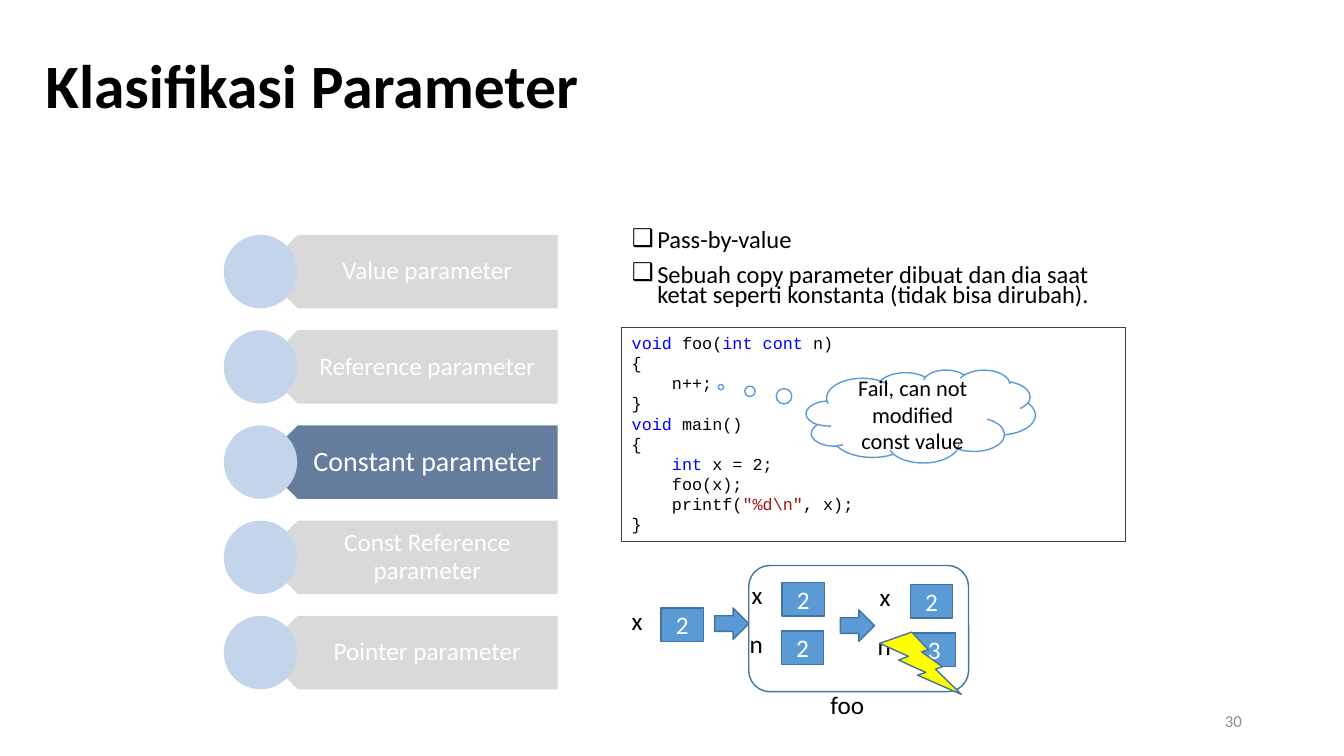
from lxml import etree
from pptx import Presentation
from pptx.dml.color import RGBColor
from pptx.enum.shapes import MSO_SHAPE
from pptx.enum.text import MSO_ANCHOR, MSO_AUTO_SIZE, PP_ALIGN
from pptx.oxml.ns import qn
from pptx.util import Cm, Pt

BLACK = RGBColor(0, 0, 0)
WHITE = RGBColor(255, 255, 255)
GREY = RGBColor(0xD9, 0xD9, 0xD9)
SLATE = RGBColor(0x65, 0x7D, 0x9D)
PALE_BLUE = RGBColor(0xC4, 0xD5, 0xEB)
BLUE = RGBColor(0x5B, 0x9B, 0xD5)
DARK_BLUE = RGBColor(0x43, 0x73, 0x9E)
YELLOW = RGBColor(255, 255, 0)
KEYWORD = RGBColor(0, 0, 255)
STRING = RGBColor(0xA3, 0x15, 0x15)
CODE_BORDER = RGBColor(0x40, 0x40, 0x40)
NUMBER_GREY = RGBColor(0x8C, 0x8C, 0x8C)

LEFT, CENTER, RIGHT = PP_ALIGN.LEFT, PP_ALIGN.CENTER, PP_ALIGN.RIGHT
TOP, MIDDLE = MSO_ANCHOR.TOP, MSO_ANCHOR.MIDDLE
NO_AUTOFIT = MSO_AUTO_SIZE.NONE
RECTANGLE, ROUNDED = MSO_SHAPE.RECTANGLE, MSO_SHAPE.ROUNDED_RECTANGLE
PENTAGON, OVAL = MSO_SHAPE.PENTAGON, MSO_SHAPE.OVAL
CLOUD, ARROW = MSO_SHAPE.CLOUD_CALLOUT, MSO_SHAPE.RIGHT_ARROW
LIGHTNING = MSO_SHAPE.LIGHTNING_BOLT

TITLE = "Klasifikasi Parameter"
BULLETS = [
    "Pass-by-value",
    "Sebuah copy parameter dibuat dan dia saat ketat seperti konstanta (tidak bisa dirubah).",
]
PARAMETERS = [
    "Value parameter",
    "Reference parameter",
    "Constant parameter",
    "Const Reference parameter",
    "Pointer parameter",
]
ACTIVE = "Constant parameter"
CODE = [
    [("void", KEYWORD), (" foo(", BLACK), ("int cont", KEYWORD), (" n)", BLACK)],
    [("{", BLACK)],
    [("    n++;", BLACK)],
    [("}", BLACK)],
    [("void", KEYWORD), (" main()", BLACK)],
    [("{", BLACK)],
    [("    int", KEYWORD), (" x = 2;", BLACK)],
    [("    foo(x);", BLACK)],
    [("    printf(", BLACK), ("\"%d\\n\"", STRING), (", x);", BLACK)],
    [("}", BLACK)],
]
WARNING = "Fail, can not modified const value"
VARIABLES = [
    ("x", "2", 15.67, 16.66, 15.32),
    ("x", "2", 18.69, 19.71, 14.68),
    ("n", "2", 18.64, 19.69, 15.9),
    ("x", "2", 21.92, 22.94, 14.73),
    ("n", "3", 21.87, 23.01, 15.95),
]
ARROWS = [(18.01, 15.32), (21.18, 15.37)]
FUNCTION_NAME = "foo"
PAGE_NUMBER = "30"

BAR_TOP, BAR_HEIGHT, BAR_PITCH = 5.92, 1.85, 2.4
COLUMN_LEFT, COLUMN_WIDTH = 15.67, 12.7


def place(shape, left, top, width, height):
    shape.left, shape.top = Cm(left), Cm(top)
    shape.width, shape.height = Cm(width), Cm(height)


def style(paragraph, size, color, align=LEFT, name="Calibri"):
    paragraph.alignment = align
    paragraph.font.size = Pt(size)
    paragraph.font.name = name
    paragraph.font.color.rgb = color


def write(shape, text, size, color, align=CENTER, anchor=MIDDLE, wrap=True):
    frame = shape.text_frame
    frame.word_wrap = wrap
    frame.vertical_anchor = anchor
    frame.text = text
    style(frame.paragraphs[0], size, color, align)
    return frame


def add_box(slide, kind, box, fill=None, line=None, width=1):
    shape = slide.shapes.add_shape(kind, *map(Cm, box))
    shape.shadow.inherit = False
    if fill is None:
        shape.fill.background()
    else:
        shape.fill.solid()
        shape.fill.fore_color.rgb = fill
    if line is None:
        shape.line.fill.background()
    else:
        shape.line.color.rgb = line
        shape.line.width = Pt(width)
    return shape


def add_label(slide, text, box, size, color, **options):
    return write(slide.shapes.add_textbox(*map(Cm, box)), text, size, color, **options)


def add_bullet(paragraph):
    properties = paragraph._p.get_or_add_pPr()
    properties.set("marL", str(Cm(0.64)))
    properties.set("indent", str(-Cm(0.64)))
    etree.SubElement(properties, qn("a:buFont"), typeface="Arial")
    etree.SubElement(properties, qn("a:buChar"), char="❑")


def add_heading(slide):
    title = slide.shapes.title
    place(title, 0.89, 0.38, 27.89, 3.68)
    frame = write(title, TITLE, 44, BLACK, align=LEFT)
    frame.auto_size = NO_AUTOFIT
    frame.paragraphs[0].font.bold = True
    frame.paragraphs[0].line_spacing = 0.9


def add_bullets(slide):
    body = slide.placeholders[1]
    place(body, COLUMN_LEFT, 5.72, COLUMN_WIDTH, 2.54)
    frame = body.text_frame
    frame.text = "\n".join(BULLETS)
    frame.auto_size = NO_AUTOFIT
    for index, paragraph in enumerate(frame.paragraphs):
        paragraph.line_spacing = 0.7
        paragraph.space_before = Pt(10 if index else 0)
        add_bullet(paragraph)
        style(paragraph, 17.5, BLACK)


def add_parameter_list(slide):
    for index, name in enumerate(PARAMETERS):
        top = BAR_TOP + index * BAR_PITCH
        active = name == ACTIVE
        bar = add_box(slide, PENTAGON, (6.58, top, 7.47, BAR_HEIGHT), SLATE if active else GREY)
        bar.rotation = 180
        frame = add_label(slide, name, (7.04, top, 7.01, BAR_HEIGHT), 20 if active else 18, WHITE)
        frame.margin_left, frame.margin_right = Cm(0.81), Cm(0.36)
        frame.paragraphs[0].line_spacing = 0.9
        add_box(slide, OVAL, (5.64, top, BAR_HEIGHT, BAR_HEIGHT), PALE_BLUE)


def add_code(slide):
    panel = add_box(slide, RECTANGLE, (COLUMN_LEFT, 8.26, COLUMN_WIDTH, 5.38), line=CODE_BORDER)
    frame = panel.text_frame
    frame.word_wrap = True
    frame.vertical_anchor = TOP
    for index, segments in enumerate(CODE):
        paragraph = frame.add_paragraph() if index else frame.paragraphs[0]
        style(paragraph, 12, BLACK, name="Courier New")
        for text, color in segments:
            run = paragraph.add_run()
            run.text = text
            run.font.color.rgb = color
    cloud = add_box(slide, CLOUD, (20.32, 9.32, 5.77, 2.34), WHITE, BLUE)
    cloud.adjustments[0], cloud.adjustments[1] = -0.873, -0.314
    write(cloud, WARNING, 16, BLACK)


def add_memory_diagram(slide):
    add_box(slide, ROUNDED, (18.87, 14.25, 5.54, 3.18), line=DARK_BLUE)
    for name, value, label_left, cell_left, top in VARIABLES:
        cell = add_box(slide, RECTANGLE, (cell_left, top, 1.07, 0.84), BLUE, DARK_BLUE)
        write(cell, value, 18, WHITE)
        add_label(slide, name, (label_left, top - 0.2, 0.82, 1.02), 18, BLACK,
                  align=LEFT, anchor=TOP, wrap=False)
    for left, top in ARROWS:
        add_box(slide, ARROW, (left, top, 0.86, 0.79), BLUE, DARK_BLUE)
    add_label(slide, FUNCTION_NAME, (20.68, 17.25, 1.37, 1.02), 18, BLACK,
              align=LEFT, anchor=TOP, wrap=False)
    add_box(slide, LIGHTNING, (22.17, 15.93, 2.06, 1.57), YELLOW, DARK_BLUE)


def main():
    presentation = Presentation()
    presentation.slide_width, presentation.slide_height = Cm(33.87), Cm(19.05)
    slide = presentation.slides.add_slide(presentation.slide_layouts[1])
    add_heading(slide)
    add_bullets(slide)
    add_parameter_list(slide)
    add_code(slide)
    add_memory_diagram(slide)
    add_label(slide, PAGE_NUMBER, (23.93, 17.65, 7.62, 1.02), 12, NUMBER_GREY, align=RIGHT)
    presentation.save("out.pptx")


if __name__ == "__main__":
    main()
